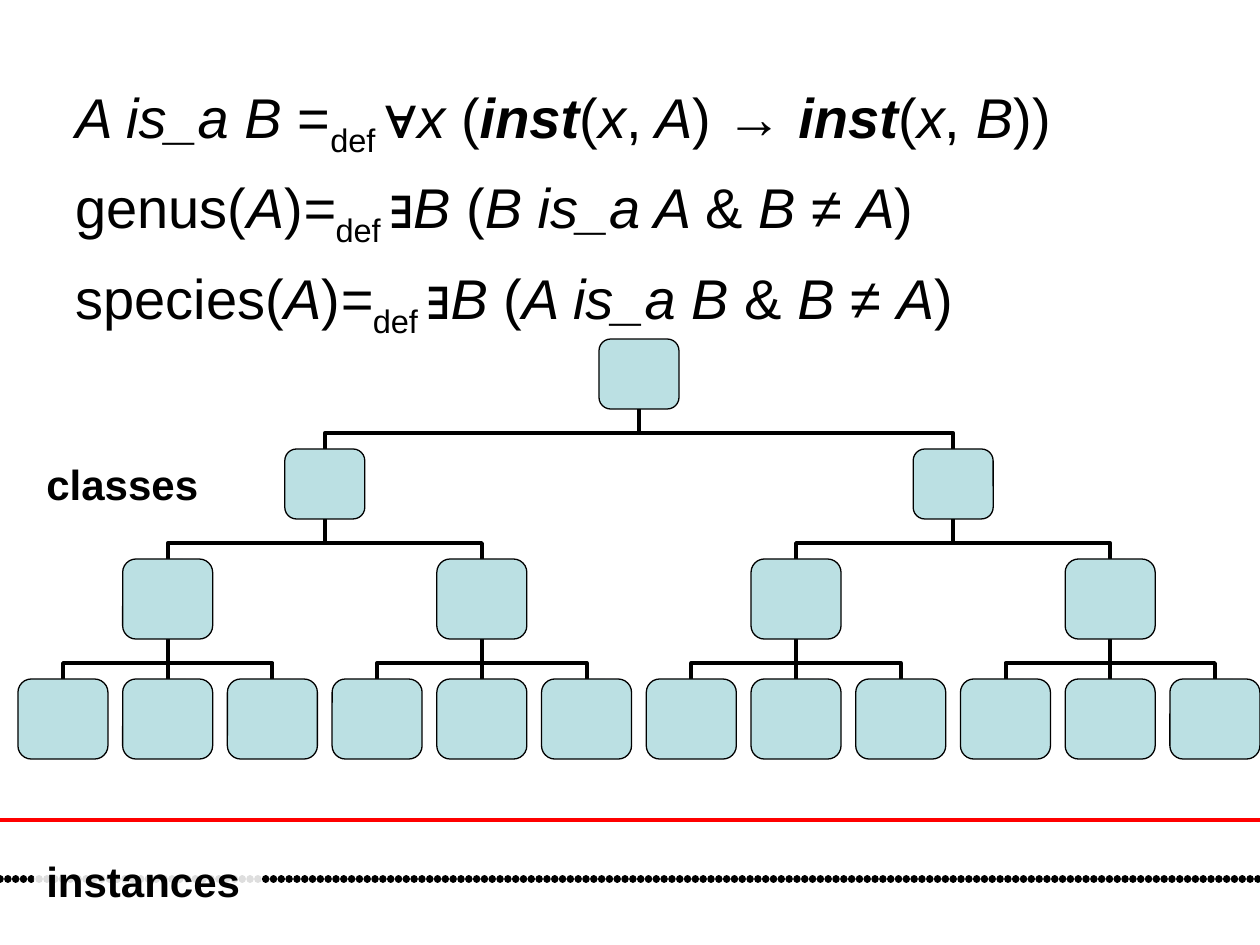
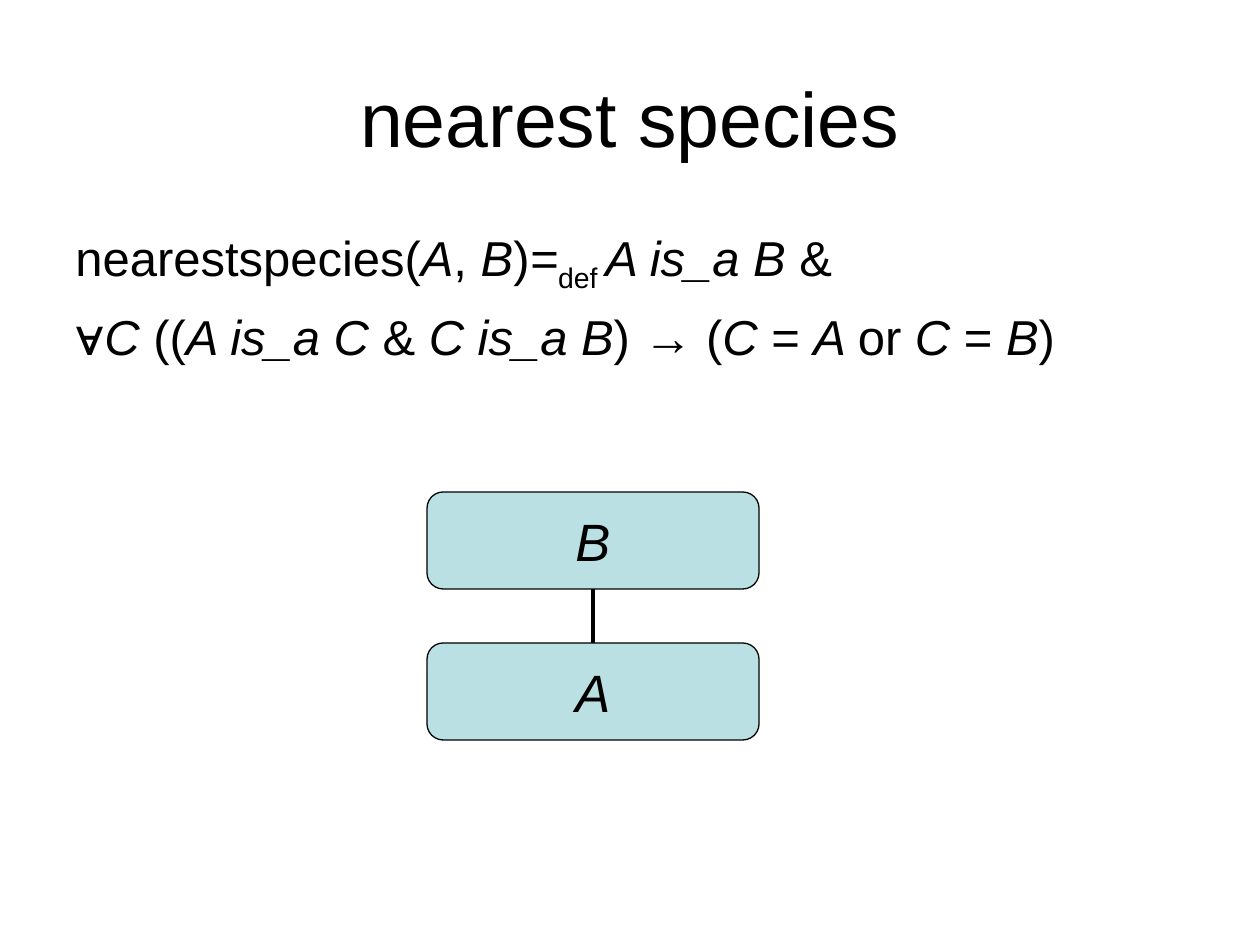
from lxml.etree import SubElement
from pptx import Presentation
from pptx.dml.color import RGBColor
from pptx.enum.shapes import MSO_CONNECTOR as Link, MSO_SHAPE as Shape
from pptx.enum.text import MSO_ANCHOR as Anchor, PP_ALIGN as Align
from pptx.oxml.ns import qn
from pptx.util import Pt

PX = 914400 // 126
FONT = "Arial"
COLORS = {"ink": "000000", "node": "BBE0E3", "divider": "FF0000", "paper": "FFFFFF"}
LEVEL_GAP = 40
LINK_WIDTH = 2.25

DEFINITIONS = [
    "/A is_a B| =|_def |∀|/x| (|*inst|(|/x|,|/ A|) → |*inst|(|/x|,|/ B|))",
    "genus(|/A|)|/=|_def |∃|/B |(|/B is_a A |& |/B |≠ |/A|)",
    "species(|/A|)|/=|_def |∃|/B |(|/A is_a B |& |/B |≠ |/A|)",
]
NEAREST_SPECIES = [
    "nearestspecies(|/A|, |/B|)|/=|_def |/A is_a B |&",
    "∀|/C| ((|/A is_a C |& |/C is_a B|) → (|/C |= |/A |or |/C |= |/B|)",
]


def color(name):
    """Return the palette colour called name."""
    return RGBColor.from_string(COLORS[name])


def px(*lengths):
    """Turn px lengths into EMU."""
    return [round(length * PX) for length in lengths]


def style(font, size, bold=False, italic=False):
    """Apply the shared typeface with the given size and emphasis."""
    font.name, font.size, font.bold, font.italic = FONT, Pt(size), bold, italic
    font.color.rgb = color("ink")


def add_text(slide, box, text, size, bold=False, align=Align.LEFT, anchor=Anchor.TOP):
    """Add one line of text in a wrapping box."""
    label = slide.shapes.add_textbox(*px(*box))
    frame = label.text_frame
    frame.word_wrap, frame.vertical_anchor, frame.text = True, anchor, text
    frame.paragraphs[0].alignment = align
    style(frame.paragraphs[0].runs[0].font, size, bold)
    return label


def add_formulas(slide, box, formulas, size, gap):
    """Add formulas whose parts start with / italic, * bold italic or _ subscript."""
    frame = slide.shapes.add_textbox(*px(*box)).text_frame
    frame.word_wrap = True
    for index, formula in enumerate(formulas):
        line = frame.add_paragraph() if index else frame.paragraphs[0]
        line.space_before = Pt(gap if index else 0)
        for part in formula.split("|"):
            mark = part[0] if part[0] in "/*_" else ""
            run = line.add_run()
            run.text = part[len(mark):]
            style(run.font, size, mark == "*", mark in ("/", "*"))
            if mark == "_":
                run.font._element.set("baseline", "-25000")


def add_line(slide, start, end, width=LINK_WIDTH, ink="ink", kind=Link.STRAIGHT):
    """Draw a shadowless connector between two points."""
    line = slide.shapes.add_connector(kind, *px(*start, *end))
    line.line.width, line.line.color.rgb = Pt(width), color(ink)
    SubElement(line._element.spPr, qn("a:effectLst"))
    return line


def link_up(slide, child, parent):
    """Join the top of a child to the bottom of its parent."""
    across, rise = parent[0] - child[0], child[1] - parent[1]
    if not across:
        add_line(slide, child, parent)
        return
    middle_x, middle_y = (child[0] + parent[0]) / 2, (child[1] + parent[1]) / 2
    side = 1 if across > 0 else -1
    half_rise, half_span = side * rise / 2, abs(across) / 2
    elbow = add_line(slide, (middle_x + half_rise, middle_y + half_span),
                     (middle_x - half_rise, middle_y - half_span), kind=Link.ELBOW)
    properties = elbow._element.spPr
    properties.find(qn("a:xfrm")).set("rot", str(side * 90 % 360 * 60000))
    bends = properties.find(qn("a:prstGeom")).get_or_add_avLst()
    SubElement(bends, qn("a:gd"), name="adj1", fmla="val 39500")


def add_node(slide, box, text=""):
    """Draw a rounded class node with an optional letter."""
    node = slide.shapes.add_shape(Shape.ROUNDED_RECTANGLE, *px(*box))
    node.shadow.inherit = False
    node.fill.solid()
    node.fill.fore_color.rgb = color("node")
    node.line.color.rgb, node.line.width = color("ink"), Pt(0.75)
    if text:
        frame = node.text_frame
        frame.text, frame.vertical_anchor = text, Anchor.MIDDLE
        frame.paragraphs[0].alignment = Align.CENTER
        style(frame.paragraphs[0].runs[0].font, 30, italic=True)


def add_class_tree(slide, left, top, width):
    """Draw the hierarchy of classes, centring each parent above its children."""
    leaf_count, small, large = 12, (80, 70), (90, 80)
    pitch = (width - large[0]) / (leaf_count - 1)
    centers = [left + large[0] / 2 + pitch * leaf for leaf in range(leaf_count)]
    rows = [centers]
    for branching in (3, 2, 2):
        centers = [(centers[first] + centers[first + branching - 1]) / 2
                   for first in range(0, len(centers), branching)]
        rows.insert(0, centers)
    nodes, links, parents = [], [], []
    for centers, (node_width, node_height) in zip(rows, (small, small, large, large)):
        for index, center in enumerate(centers):
            nodes.append((center - node_width / 2, top, node_width, node_height))
            if parents:
                parent = parents[index * len(parents) // len(centers)]
                links.append(((center, top), parent))
        parents = [(center, top + node_height) for center in centers]
        top += node_height + LEVEL_GAP
    for child, parent in links:
        link_up(slide, child, parent)
    for node in nodes:
        add_node(slide, node)


def add_instances_band(slide, left, top, width):
    """Draw the divider and the dotted row of instances with its label."""
    add_line(slide, (left, top), (left + width, top), ink="divider")
    row = top + 59
    dots = add_line(slide, (left, row), (left + width, row), 4.25)
    outline = dots.line._get_or_add_ln()
    outline.set("cap", "rnd")
    pattern = SubElement(outline, qn("a:custDash"))
    SubElement(pattern, qn("a:ds"), d="100000", sp="5000")
    label = add_text(slide, (left + 34, top + 29, 228, 63), "instances", 24, True)
    label.fill.solid()
    label.fill.fore_color.rgb = color("paper")
    tint = label._element.spPr.find(qn("a:solidFill"))[0]
    SubElement(tint, qn("a:alpha"), val="87000")


def add_species_pair(slide, left, top, width):
    """Draw class B above its nearest species A."""
    height, step = 97, 151
    center = left + width / 2
    add_line(slide, (center, top + step), (center, top + height))
    for index, letter in enumerate("BA"):
        add_node(slide, (left, top + index * step, width, height), letter)


def build_hierarchy(slide):
    """Compose the slide of definitions, classes and instances."""
    add_formulas(slide, (63, 76, 1123, 377), DEFINITIONS, 32, 8)
    add_class_tree(slide, 18, 339, 1242)
    add_text(slide, (34, 452, 218, 63), "classes", 24, True)
    add_instances_band(slide, 0, 820, 1260)


def build_nearest_species(slide):
    """Compose the slide on nearest species."""
    add_text(slide, (63, 38, 1134, 158), "nearest species", 44,
             align=Align.CENTER, anchor=Anchor.MIDDLE)
    add_formulas(slide, (63, 221, 1133, 624), NEAREST_SPECIES, 28, 7)
    add_species_pair(slide, 427, 492, 332)


def main():
    """Build and save the presentation."""
    deck = Presentation()
    deck.slide_width, deck.slide_height = px(1260, 945)
    for build in (build_hierarchy, build_nearest_species):
        build(deck.slides.add_slide(deck.slide_layouts[6]))
    deck.save("out.pptx")


if __name__ == "__main__":
    main()
